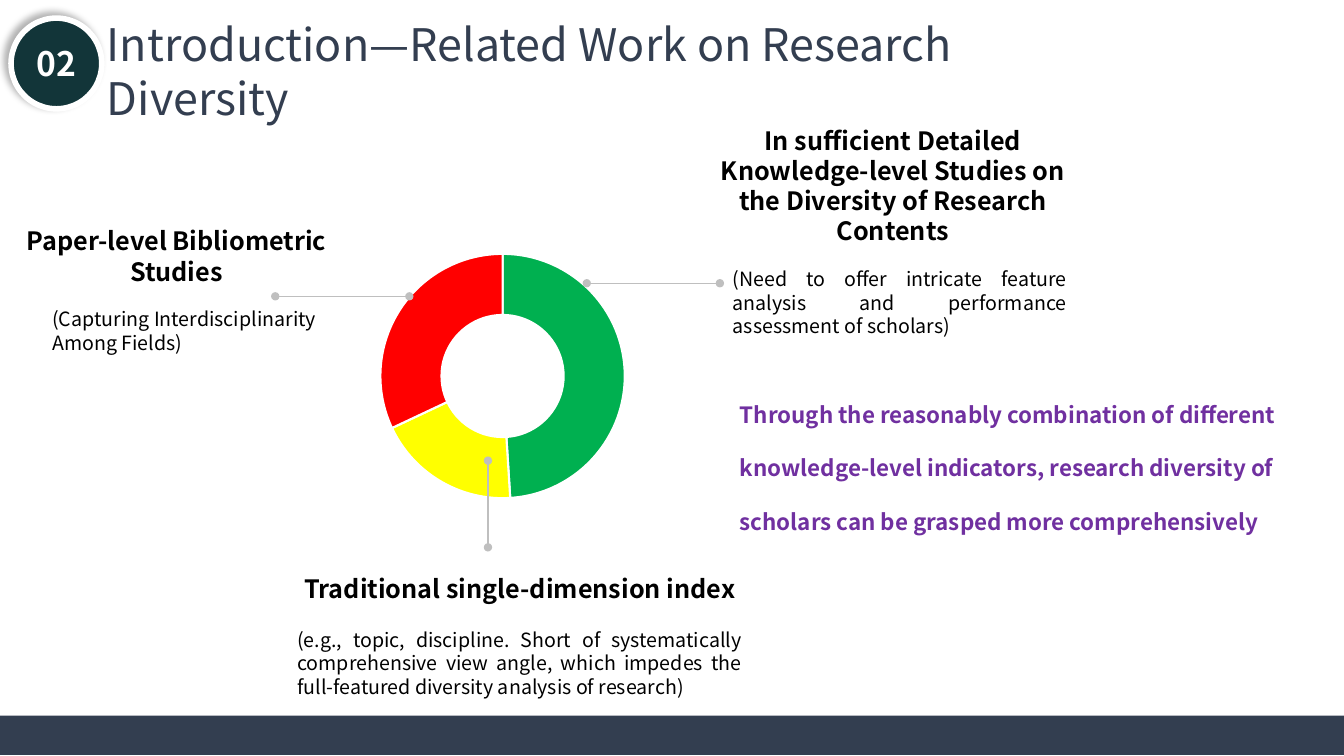
from lxml.etree import SubElement
from pptx import Presentation
from pptx.chart.data import CategoryChartData
from pptx.dml.color import RGBColor
from pptx.enum.chart import XL_CHART_TYPE
from pptx.enum.shapes import MSO_CONNECTOR, MSO_SHAPE
from pptx.enum.text import MSO_ANCHOR, PP_ALIGN
from pptx.oxml import parse_xml
from pptx.oxml.ns import nsdecls, qn
from pptx.util import Inches, Pt

FONT = "Noto Sans CJK SC"
HUES = {"navy": "333E50", "teal": "123539", "white": "FFFFFF", "black": "000000",
        "green": "00B050", "yellow": "FFFF00", "red": "FF0000",
        "purple": "7030A0", "gray": "BFBFBF"}

# Content
TITLE = "Introduction—Related Work on Research Diversity"
SHARES = [("1", 49, "green"), ("2", 19, "yellow"), ("3", 32, "red")]
LEADS = [(5.82, 2.81, 7.14, 2.81), (4.84, 4.57, 4.84, 5.43), (4.06, 2.94, 2.73, 2.94)]

HEAD = (18, True, "black", PP_ALIGN.CENTER)
BODY = (14, False, "black", PP_ALIGN.JUSTIFY)
CLAIM = (16, True, "purple", PP_ALIGN.LEFT)
NOTES = [  # box, then (text, style) for each paragraph
    ((7.02, 1.19, 3.67, 1.31),
     [("In sufficient Detailed Knowledge-level Studies on the Diversity of Research Contents", HEAD)]),
    ((-0.02, 2.19, 3.54, 0.71), [("Paper-level Bibliometric Studies", HEAD)]),
    ((7.24, 3.66, 5.74, 1.64),
     [("Through the reasonably combination of different knowledge-level indicators, "
       "research diversity of scholars can be grasped more comprehensively", CLAIM)]),
    ((2.85, 5.64, 4.61, 1.65),
     [("Traditional single-dimension index", HEAD),
      ("(e.g., topic, discipline. Short of systematically comprehensive view angle, "
       "which impedes the full-featured diversity analysis of research)", BODY)]),
    ((0.42, 3, 4.34, 0.57),
     [("(Capturing Interdisciplinarity", BODY), ("Among Fields)", BODY)]),
    ((7.17, 2.6, 3.51, 0.81),
     [("(Need to offer intricate feature analysis and performance assessment of scholars)", BODY)]),
]


def hue(name):
    return RGBColor.from_string(HUES[name])


def place(box):
    return [Inches(n) for n in box]


def style(par, size, bold, color, align):
    par.alignment = align
    for run in par.runs:
        run.font.name = FONT
        run.font.size = Pt(size)
        run.font.bold = bold
        run.font.color.rgb = hue(color)


def add_solid(kind, box, color):
    shape = slide.shapes.add_shape(kind, *place(box))
    shape.shadow.inherit = False
    shape.fill.solid()
    shape.fill.fore_color.rgb = hue(color)
    shape.line.fill.background()
    return shape


deck = Presentation()
deck.slide_width, deck.slide_height = Inches(13.33), Inches(7.5)
slide = deck.slides.add_slide(deck.slide_layouts[5])

# Title
title = slide.shapes.title
title.left, title.top, title.width, title.height = place((0.96, 0.12, 9.71, 1.18))
title.text_frame.text = TITLE
title.text_frame.word_wrap = True
title.text_frame.vertical_anchor = MSO_ANCHOR.TOP
style(title.text_frame.paragraphs[0], 32, False, "navy", PP_ALIGN.LEFT)

# Doughnut
data = CategoryChartData()
data.categories = [name for name, _, _ in SHARES]
data.add_series("Series 1", [share for _, share, _ in SHARES])
ring = slide.shapes.add_chart(XL_CHART_TYPE.DOUGHNUT,
                              *place((3.03, 2.38, 3.91, 2.73)), data).chart
ring.has_legend = ring.has_title = False
ring.font.name, ring.font.size, ring.font.color.rgb = FONT, Pt(18), hue("black")
plot = ring.plots[0]
plot.vary_by_categories = True
for i, (_, _, color) in enumerate(SHARES):
    part = plot.series[0].points[i].format
    part.fill.solid()
    part.fill.fore_color.rgb = hue(color)
    part.line.color.rgb = hue("white")
    part.line.width = Pt(1.5)
area = ring.element.find(".//" + qn("c:plotArea"))
for old in area.findall(qn("c:layout")):
    area.remove(old)
area.insert(0, parse_xml(
    f'<c:layout {nsdecls("c")}><c:manualLayout><c:layoutTarget val="inner"/>'
    '<c:xMode val="edge"/><c:yMode val="edge"/><c:x val="0.19"/><c:y val="0.05"/>'
    '<c:w val="0.62"/><c:h val="0.89"/></c:manualLayout></c:layout>'))
area.find(".//" + qn("c:holeSize")).set("val", "50")

# Leader lines with round ends
for lead in LEADS:
    line = slide.shapes.add_connector(MSO_CONNECTOR.STRAIGHT, *place(lead))
    line.line.color.rgb = hue("gray")
    line.line.width = Pt(1)
    for end in ("a:headEnd", "a:tailEnd"):
        SubElement(line.line._get_or_add_ln(), qn(end), type="oval")
    SubElement(line.element.spPr, qn("a:effectLst"))

# Section badge
badge = add_solid(MSO_SHAPE.OVAL, (0.11, 0.18, 0.9, 0.9), "teal")
badge.line.color.rgb = hue("white")
badge.line.width = Pt(4)
frame = badge.text_frame
frame.margin_left = frame.margin_right = 0
frame.vertical_anchor = MSO_ANCHOR.MIDDLE
frame.text = "02"
style(frame.paragraphs[0], 24, True, "white", PP_ALIGN.CENTER)
glow = badge.element.spPr.find(qn("a:effectLst"))
glow.append(parse_xml(
    f'<a:outerShdw {nsdecls("a")} blurRad="{Pt(5.1)}" dist="{Pt(4)}" dir="{215 * 60000}" '
    f'rotWithShape="0"><a:srgbClr val="{HUES["black"]}"><a:alpha val="30000"/>'
    '</a:srgbClr></a:outerShdw>'))

# Footer bar
add_solid(MSO_SHAPE.RECTANGLE, (0, 7.1, 13.33, 0.39), "navy")

# Notes around the ring
for box, lines in NOTES:
    frame = slide.shapes.add_textbox(*place(box)).text_frame
    frame.word_wrap = True
    frame.text = "\n".join(text for text, _ in lines)
    for par, (_, look) in zip(frame.paragraphs, lines):
        style(par, *look)
        if look is CLAIM:
            par.line_spacing = 2.0
    if lines[0][1] is HEAD and len(lines) > 1:
        frame.paragraphs[1].space_before = Pt(17)

deck.save("out.pptx")
